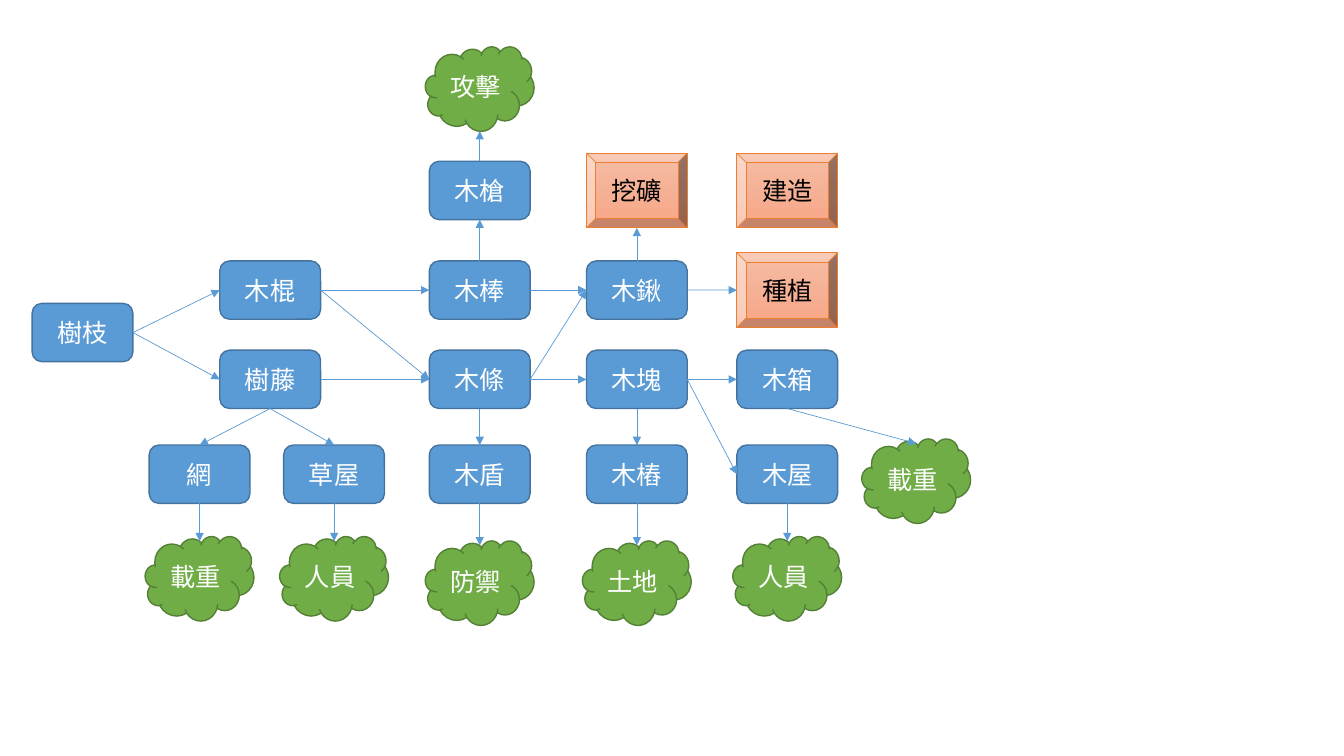
"""Draw the crafting tree that leads from a branch to tools, buildings and effects."""
from copy import deepcopy

from pptx import Presentation
from pptx.dml.color import RGBColor
from pptx.enum.shapes import MSO_CONNECTOR, MSO_SHAPE
from pptx.enum.text import MSO_ANCHOR, PP_ALIGN
from pptx.oxml.ns import qn
from pptx.util import Cm, Pt
from lxml import etree

BOX, CLOUD, BEVEL = MSO_SHAPE.ROUNDED_RECTANGLE, MSO_SHAPE.CLOUD, MSO_SHAPE.BEVEL
STRAIGHT = MSO_CONNECTOR.STRAIGHT
MIDDLE, CENTER = MSO_ANCHOR.MIDDLE, PP_ALIGN.CENTER
TOP, LEFT, BOTTOM, RIGHT = range(4)

COLORS = {
    "item": "5B9BD5", "item_edge": "43739E",
    "effect": "70AD47", "effect_edge": "538035",
    "skill_top": "F7BDA5", "skill_mid": "F5B196", "skill_low": "F8A582",
    "skill_edge": "ED7D31", "light": "FFFFFF", "dark": "000000",
}
STYLES = {
    "item": {"preset": BOX, "size": (2.54, 1.47), "edge": 1, "ink": "light"},
    "effect": {"preset": CLOUD, "size": (2.74, 2.13), "edge": 1, "ink": "light"},
    "skill": {"preset": BEVEL, "size": (2.54, 1.88), "edge": 0.5, "ink": "dark"},
}
FONT = {"name": "Calibri", "size": Pt(18)}
CLOUD_DIP = 0.12

COLUMNS = {"branch": 2.08, "net": 5.03, "stick": 6.81, "hut": 8.42,
           "club": 12.09, "shovel": 16.05, "house": 19.84, "load": 23.09}
ROWS = {"attack": 2.24, "spear": 4.8, "shovel": 7.31, "branch": 8.38,
        "strip": 9.56, "stake": 11.95, "load": 12.12, "effects": 14.58, "land": 14.69}

NODES = {
    "branch": ("item", "樹枝", "branch", "branch"),
    "stick": ("item", "木棍", "stick", "shovel"),
    "vine": ("item", "樹藤", "stick", "strip"),
    "net": ("item", "網", "net", "stake"),
    "hut": ("item", "草屋", "hut", "stake"),
    "spear": ("item", "木槍", "club", "spear"),
    "club": ("item", "木棒", "club", "shovel"),
    "strip": ("item", "木條", "club", "strip"),
    "shield": ("item", "木盾", "club", "stake"),
    "shovel": ("item", "木鍬", "shovel", "shovel"),
    "block": ("item", "木塊", "shovel", "strip"),
    "stake": ("item", "木樁", "shovel", "stake"),
    "chest": ("item", "木箱", "house", "strip"),
    "house": ("item", "木屋", "house", "stake"),
    "mining": ("skill", "挖礦", "shovel", "spear"),
    "building": ("skill", "建造", "house", "spear"),
    "planting": ("skill", "種植", "house", "shovel"),
    "attack": ("effect", "攻擊", "club", "attack"),
    "net_load": ("effect", "載重", "net", "effects"),
    "hut_people": ("effect", "人員", "hut", "effects"),
    "defence": ("effect", "防禦", "club", "land"),
    "land": ("effect", "土地", "shovel", "land"),
    "house_people": ("effect", "人員", "house", "effects"),
    "chest_load": ("effect", "載重", "load", "load"),
}
ROUTES = {
    (RIGHT, LEFT): [("branch", "stick"), ("branch", "vine"), ("stick", "club"),
                    ("stick", "strip"), ("vine", "strip"), ("club", "shovel"),
                    ("strip", "shovel"), ("strip", "block"), ("shovel", "planting"),
                    ("block", "chest"), ("block", "house")],
    (BOTTOM, TOP): [("vine", "net"), ("vine", "hut"), ("strip", "shield"),
                    ("block", "stake"), ("net", "net_load"), ("hut", "hut_people"),
                    ("shield", "defence"), ("stake", "land"),
                    ("house", "house_people"), ("chest", "chest_load")],
    (TOP, BOTTOM): [("club", "spear"), ("spear", "attack"), ("shovel", "mining")],
}


def rgb(name):
    return RGBColor.from_string(COLORS[name])


def site_point(node, site):
    kind, _, column, row = NODES[node]
    width, height = STYLES[kind]["size"]
    across = {LEFT: -0.5, RIGHT: 0.5}.get(site, 0)
    down = {TOP: -0.5, BOTTOM: 0.5}.get(site, 0)
    dip = CLOUD_DIP if kind == "effect" and site == TOP else 0
    return Cm(COLUMNS[column] + across * width), Cm(ROWS[row] + down * height + dip)


prs = Presentation()
prs.slide_width, prs.slide_height = Cm(33.87), Cm(19.05)
slide = prs.slides.add_slide(prs.slide_layouts[6])

parts = {}
for node, (kind, label, column, row) in NODES.items():
    style = STYLES[kind]
    width, height = style["size"]
    part = slide.shapes.add_shape(
        style["preset"], Cm(COLUMNS[column] - width / 2), Cm(ROWS[row] - height / 2),
        Cm(width), Cm(height))
    parts[node] = part
    part.shadow.inherit = False
    if kind == "skill":
        part.fill.gradient()
        part.fill.gradient_angle = 270
        stop_list = part._element.spPr.find(qn("a:gradFill")).find(qn("a:gsLst"))
        stop_list.append(deepcopy(stop_list[0]))
        shades = ("skill_top", "skill_mid", "skill_low")
        for stop, shade, position in zip(part.fill.gradient_stops, shades, (0, 0.5, 1)):
            stop.color.rgb, stop.position = rgb(shade), position
    else:
        part.fill.solid()
        part.fill.fore_color.rgb = rgb(kind)
    part.line.color.rgb = rgb(kind + "_edge")
    part.line.width = Pt(style["edge"])
    part.text_frame.vertical_anchor = MIDDLE
    paragraph = part.text_frame.paragraphs[0]
    paragraph.alignment = CENTER
    run = paragraph.add_run()
    run.text = label
    for attribute, value in FONT.items():
        setattr(run.font, attribute, value)
    run.font.color.rgb = rgb(style["ink"])

for (leave, enter), pairs in ROUTES.items():
    for source, target in pairs:
        arrow = slide.shapes.add_connector(
            STRAIGHT, *site_point(source, leave), *site_point(target, enter))
        arrow.begin_connect(parts[source], leave)
        if NODES[target][0] == "item":
            arrow.end_connect(parts[target], enter)
        arrow.line.color.rgb = rgb("item")
        arrow.line.width = Pt(0.5)
        etree.SubElement(arrow.line._get_or_add_ln(), qn("a:tailEnd"), type="triangle")
        etree.SubElement(arrow._element.spPr, qn("a:effectLst"))

prs.save("out.pptx")
